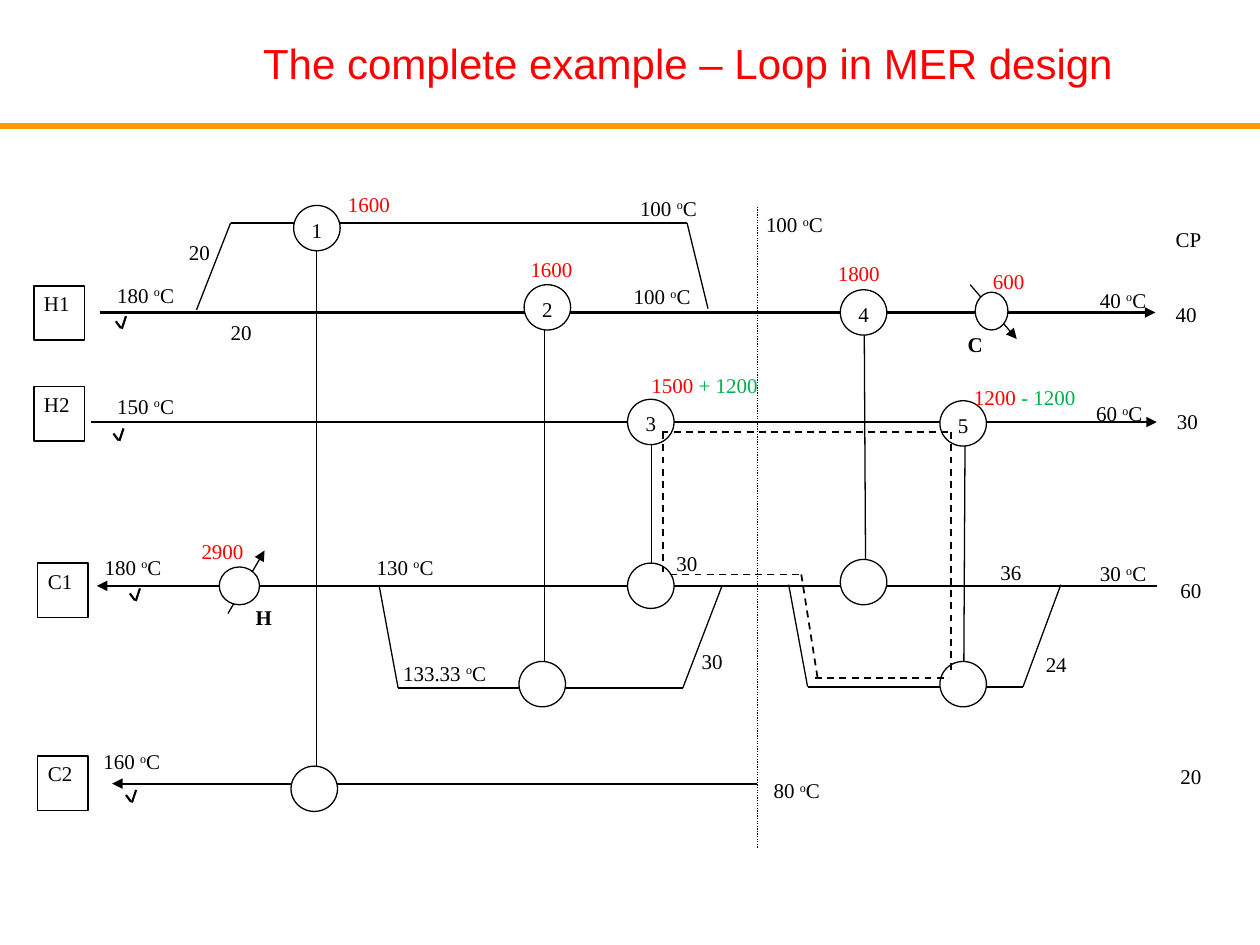
from pptx import Presentation
from pptx.dml.color import RGBColor
from pptx.enum.dml import MSO_LINE
from pptx.enum.shapes import MSO_CONNECTOR, MSO_SHAPE
from pptx.enum.text import MSO_ANCHOR, PP_ALIGN
from pptx.oxml.ns import qn
from pptx.util import Pt
from lxml.etree import SubElement

BLACK = RGBColor(0x00, 0x00, 0x00)
WHITE = RGBColor(0xFF, 0xFF, 0xFF)
RED = RGBColor(0xFF, 0x00, 0x00)
GREEN = RGBColor(0x00, 0xB0, 0x50)
ORANGE = RGBColor(0xFF, 0x99, 0x00)


class Diagram:
    font = dict(name="Times New Roman", size=Pt(12))
    title_font = dict(name="Arial", size=Pt(24), bold=False)
    inset = (5.76, 0.72)
    thin, medium, thick = 0.75, 1, 1.25

    def __init__(self, slide):
        self.s = slide

    def title(self, text, *box):
        sp = self.s.shapes.title
        sp.left, sp.top, sp.width, sp.height = map(Pt, box)
        tf = sp.text_frame
        tf.word_wrap = False
        tf.vertical_anchor = MSO_ANCHOR.MIDDLE
        p = tf.paragraphs[0]
        p.alignment = PP_ALIGN.CENTER
        self.run(p, text, RED, **self.title_font)

    def run(self, p, text, color=BLACK, raised=False, **style):
        r = p.add_run()
        r.text = text
        for key, value in {**self.font, **style}.items():
            setattr(r.font, key, value)
        r.font.color.rgb = color
        if raised:
            r.font._element.set("baseline", "30000")

    def frame(self, sp, inset, align=PP_ALIGN.LEFT):
        tf = sp.text_frame
        side, edge = map(Pt, inset)
        style = dict(word_wrap=True, vertical_anchor=MSO_ANCHOR.TOP, margin_left=side,
                     margin_right=side, margin_top=edge, margin_bottom=edge)
        for key, value in style.items():
            setattr(tf, key, value)
        p = tf.paragraphs[0]
        for key, value in dict(alignment=align, line_spacing=1.15, space_after=Pt(10)).items():
            setattr(p, key, value)
        return p

    def label(self, x, y, w, h, inset=inset):
        return self.frame(self.s.shapes.add_textbox(Pt(x), Pt(y), Pt(w), Pt(h)), inset)

    def temperature(self, x, y, w, value, h=28):
        p = self.label(x, y, w, h)
        self.run(p, f"{value} ")
        self.run(p, "o", raised=True)
        self.run(p, "C")

    def duty(self, x, y, w, value, shift=None):
        p = self.label(x, y, w, 23)
        self.run(p, f"{value} " if shift else value, RED)
        if shift:
            self.run(p, shift, GREEN)

    def number(self, x, y, value, h=21.6):
        self.run(self.label(x, y, 21.6, h, (0, 0)), value)

    def unit(self, x, y, letter):
        self.run(self.label(x, y, 21.6, 24.5), letter, bold=True)

    def line(self, x1, y1, x2, y2, width=thin, color=BLACK, dash=None, arrow=False):
        c = self.s.shapes.add_connector(MSO_CONNECTOR.STRAIGHT, *map(Pt, (x1, y1, x2, y2)))
        c.line.color.rgb = color
        c.line.width = Pt(width)
        if dash:
            c.line.dash_style = dash
        if arrow:
            SubElement(c.line._get_or_add_ln(), qn("a:tailEnd"), type="triangle")
        SubElement(c._element.spPr, qn("a:effectLst"))

    def tick(self, x, y):
        self.line(x, y, x + 2.9, y + 3.9, self.thick)
        self.line(x + 3.4, y + 4.3, x + 5.8, y - 2.9, self.thick)

    def shape(self, kind, x, y, w, h, text="", align=PP_ALIGN.CENTER):
        sp = self.s.shapes.add_shape(kind, Pt(x), Pt(y), Pt(w), Pt(h))
        sp.shadow.inherit = False
        sp.fill.solid()
        sp.fill.fore_color.rgb = WHITE
        sp.line.color.rgb = BLACK
        sp.line.width = Pt(self.thin)
        if text:
            self.run(self.frame(sp, self.inset, align), text)

    def exchanger(self, x, y, number="", w=26.6, h=25.9):
        self.shape(MSO_SHAPE.OVAL, x, y, w, h, number)

    def stream(self, x, y, name):
        self.shape(MSO_SHAPE.RECTANGLE, x, y, 28.8, 31, name, PP_ALIGN.LEFT)


prs = Presentation()
prs.slide_width, prs.slide_height = Pt(720), Pt(540)
d = Diagram(prs.slides.add_slide(prs.slide_layouts[5]))

d.line(0, 72, 720, 72, 3, ORANGE)
d.title("The complete example – Loop in MER design", 140.4, 18, 505.4, 36)

for x1, x2, y in [(56.9, 660.2, 178.6), (51.8, 661, 241.2),
                  (661, 55.4, 334.8), (432.7, 64.1, 447.8)]:
    d.line(x1, y, x2, y, d.thick, arrow=True)
for x, y, name in [(19.4, 163.4, "H1"), (19.4, 221, "H2"),
                   (21.6, 321.8, "C1"), (21.6, 432, "C2")]:
    d.stream(x, y, name)
for x, y in [(66.2, 183.6), (64.8, 247.7), (74.2, 339.1), (72, 454.3)]:
    d.tick(x, y)

d.line(432.7, 118.1, 432.7, 484.6, dash=MSO_LINE.ROUND_DOT)

branches = [
    [(112.3, 177.1), (131.8, 127.4), (392.6, 127.4), (404.6, 176.4)],
    [(216.7, 334.8), (227.5, 393.1), (390.2, 393.1), (412.6, 334.8)],
    [(450.7, 334.1), (461.5, 392.4), (584.6, 392.4), (606.2, 334.1)],
]
for points in branches:
    for start, end, width in zip(points, points[1:], (d.thin, d.medium, d.thin)):
        d.line(*start, *end, width)

for link in [(180.7, 142.6, 180.7, 444.2), (311, 187.9, 311, 385.9),
             (372.2, 254.2, 372.2, 321.8), (493.9, 191.5, 494.6, 319.7),
             (551.5, 247, 550.8, 378)]:
    d.line(*link)
d.line(554.4, 162.7, 581, 193.7, arrow=True)
d.line(130.3, 350.6, 151.2, 314.6, arrow=True)

hot_ends = [(167.8, 117.4), (299.5, 162.7), (358.6, 228.2), (480.2, 165.6), (537.1, 229)]
cold_ends = [(166.3, 437.8), (296.6, 378), (358.6, 321.8), (480.2, 319.7), (537.1, 378)]
for i, (hot, cold) in enumerate(zip(hot_ends, cold_ends), 1):
    d.exchanger(*hot, str(i))
    d.exchanger(*cold)
d.exchanger(557.3, 167, w=18.7, h=21.6)
d.exchanger(125.3, 324, w=23, h=21.6)
d.unit(547.2, 186.5, "C")
d.unit(140.4, 342.7, "H")

for part in [(383, 328.3, 459.4, 328.3), (457.9, 328.3, 467.3, 388.1),
             (465.8, 387.4, 542.2, 387.4), (543.6, 247, 543.6, 383.8),
             (378, 247, 543.6, 247), (378.7, 247, 378.7, 326.9)]:
    d.line(*part, d.medium, dash=MSO_LINE.DASH)

for x, y, w, value in [
    (61.2, 158.4, 51.1, "180"), (622.8, 161.3, 44.6, "40"), (61.2, 221.8, 56.9, "150"),
    (620.6, 226.1, 41, "60"), (54, 313.9, 51.8, "180"), (622.8, 317.5, 51.8, "30"),
    (53.3, 424.8, 49, "160"), (436.3, 441.4, 41.8, "80"), (432, 118.1, 48.2, "100"),
    (360, 108.7, 48.2, "100"), (356.4, 159.1, 48.2, "100"), (209.5, 313.9, 71.3, "130"),
    (224.6, 374.4, 71.3, "133.33"),
]:
    d.temperature(x, y, w, value)

for x, y, w, *values in [
    (193, 106.6, 54, "1600"), (297.4, 144, 54, "1600"), (473, 146.2, 54, "1800"),
    (561.6, 150.5, 54, "600"), (109.4, 304.6, 54, "2900"),
    (366.5, 210.2, 82.8, "1500", "+ 1200"), (550.8, 216.7, 74.9, "1200", "- 1200"),
]:
    d.duty(x, y, w, *values)

for x, y, value in [(671.8, 127.4, "CP"), (671.8, 169.9, "40"), (672.5, 231.1, "30"),
                    (674.6, 327.6, "60"), (674.6, 434.2, "20")]:
    d.number(x, y, value, 25.2)
for x, y, value in [(108, 134.6, "20"), (131.8, 180.7, "20"), (386.6, 312.5, "30"),
                    (401, 368.6, "30"), (597.6, 370.1, "24"), (571.7, 317.5, "36")]:
    d.number(x, y, value)

prs.save("out.pptx")
